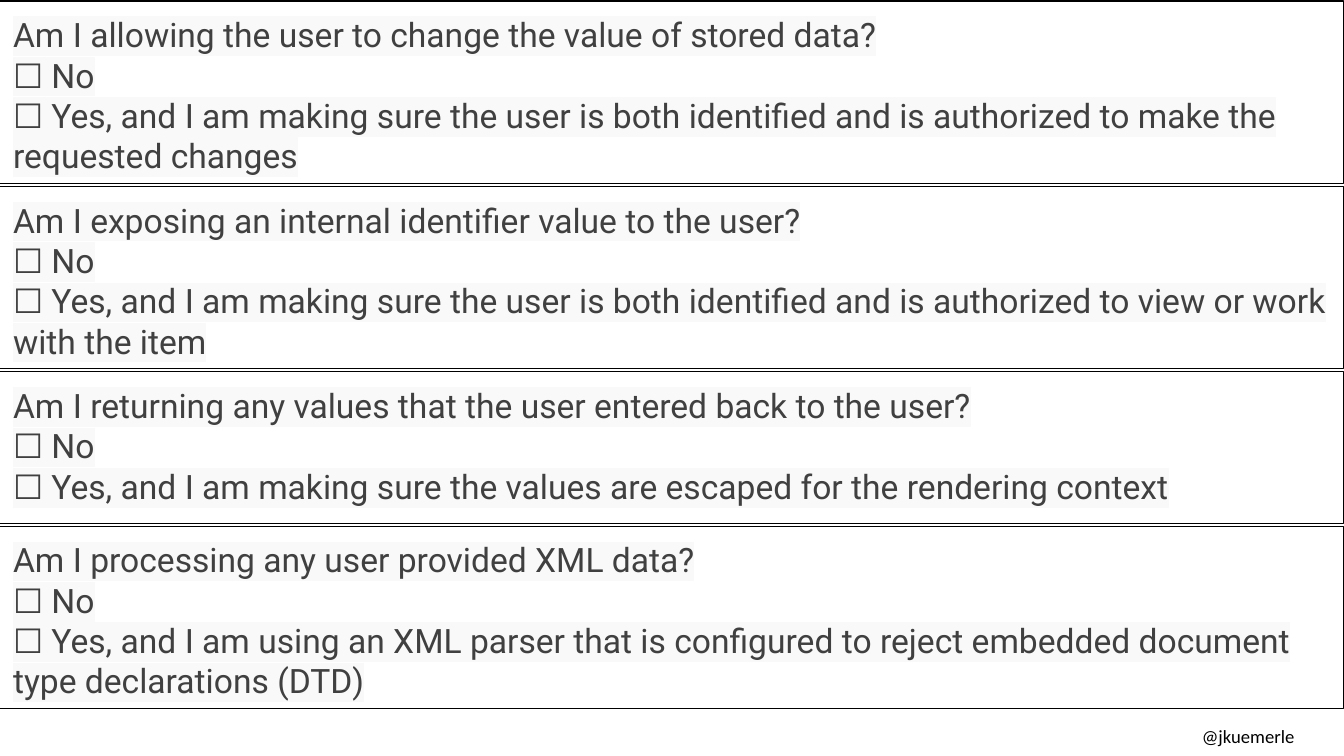
from dataclasses import dataclass

from lxml.etree import SubElement
from pptx import Presentation
from pptx.dml.color import RGBColor
from pptx.enum.shapes import MSO_SHAPE as Shape
from pptx.enum.text import MSO_ANCHOR as Anchor, PP_ALIGN as Align
from pptx.oxml.ns import qn
from pptx.util import Inches, Pt


@dataclass(frozen=True)
class Theme:
    """Colours, fonts and sizes of the checklist."""
    text: str = "404040"
    highlight: str = "F9F9F9"
    line: str = "000000"
    font: str = "Roboto"
    size: float = 24
    handle_font: str = "Calibri"
    handle_size: float = 13.3
    border: float = 0.75
    inset: float = 0.13


THEME = Theme()
WIDTH, HEIGHT = 13.33, 7.5
TOP, GAP = 0.01, 0.03
TALL, SHORT = 1.81, 1.5
QUESTIONS = [
    (TALL, "Am I allowing the user to change the value of stored data?",
     "Yes, and I am making sure the user is both identified and is authorized to make the requested changes"),
    (TALL, "Am I exposing an internal identifier value to the user?",
     "Yes, and I am making sure the user is both identified and is authorized to view or work with the item"),
    (SHORT, "Am I returning any values that the user entered back to the user?",
     "Yes, and I am making sure the values are escaped for the rendering context"),
    (TALL, "Am I processing any user provided XML data?",
     "Yes, and I am using an XML parser that is configured to reject embedded document type declarations (DTD)"),
]


def set_frame(frame, inset):
    """Wrap a text frame, anchor it at the top and set equal margins."""
    frame.word_wrap = True
    frame.vertical_anchor = Anchor.TOP
    frame.margin_left = frame.margin_right = Inches(inset)
    frame.margin_top = frame.margin_bottom = Inches(inset)


def add_run(para, text, font, size, color):
    """Add one styled run to a left-aligned paragraph."""
    para.alignment = Align.LEFT
    span = para.add_run()
    span.text = text
    span.font.name = font
    span.font.size = Pt(size)
    span.font.color.rgb = RGBColor.from_string(color)
    return span


def highlight_run(span, color):
    """Put a highlight colour behind a run."""
    properties = span.font._element
    highlight = SubElement(properties, qn("a:highlight"))
    SubElement(highlight, qn("a:srgbClr")).set("val", color)
    properties.find(qn("a:solidFill")).addnext(highlight)


def add_question(page, top, height, question, yes_answer):
    """Draw a full-width bordered question with its two answers."""
    box = page.shapes.add_shape(
        Shape.RECTANGLE, 0, Inches(top), Inches(WIDTH), Inches(height))
    box.shadow.inherit = False
    box.fill.background()
    box.line.color.rgb = RGBColor.from_string(THEME.line)
    box.line.width = Pt(THEME.border)
    frame = box.text_frame
    set_frame(frame, THEME.inset)
    for index, text in enumerate((question, "☐ No", f"☐ {yes_answer}")):
        para = frame.add_paragraph() if index else frame.paragraphs[0]
        span = add_run(para, text, THEME.font, THEME.size, THEME.text)
        highlight_run(span, THEME.highlight)


def add_handle(page, left, top, width, height):
    """Write the speaker's handle in the given box."""
    box = page.shapes.add_textbox(*map(Inches, (left, top, width, height)))
    set_frame(box.text_frame, 0)
    add_run(box.text_frame.paragraphs[0], "@jkuemerle",
            THEME.handle_font, THEME.handle_size, THEME.line)


def main():
    """Build the checklist slide and save it."""
    deck = Presentation()
    deck.slide_width, deck.slide_height = Inches(WIDTH), Inches(HEIGHT)
    page = deck.slides.add_slide(deck.slide_layouts[6])
    top = TOP
    for height, question, yes_answer in QUESTIONS:
        add_question(page, top, height, question, yes_answer)
        top += height + GAP
    add_handle(page, 11.92, 7.19, 1.26, 0.22)
    deck.save("out.pptx")


if __name__ == "__main__":
    main()
